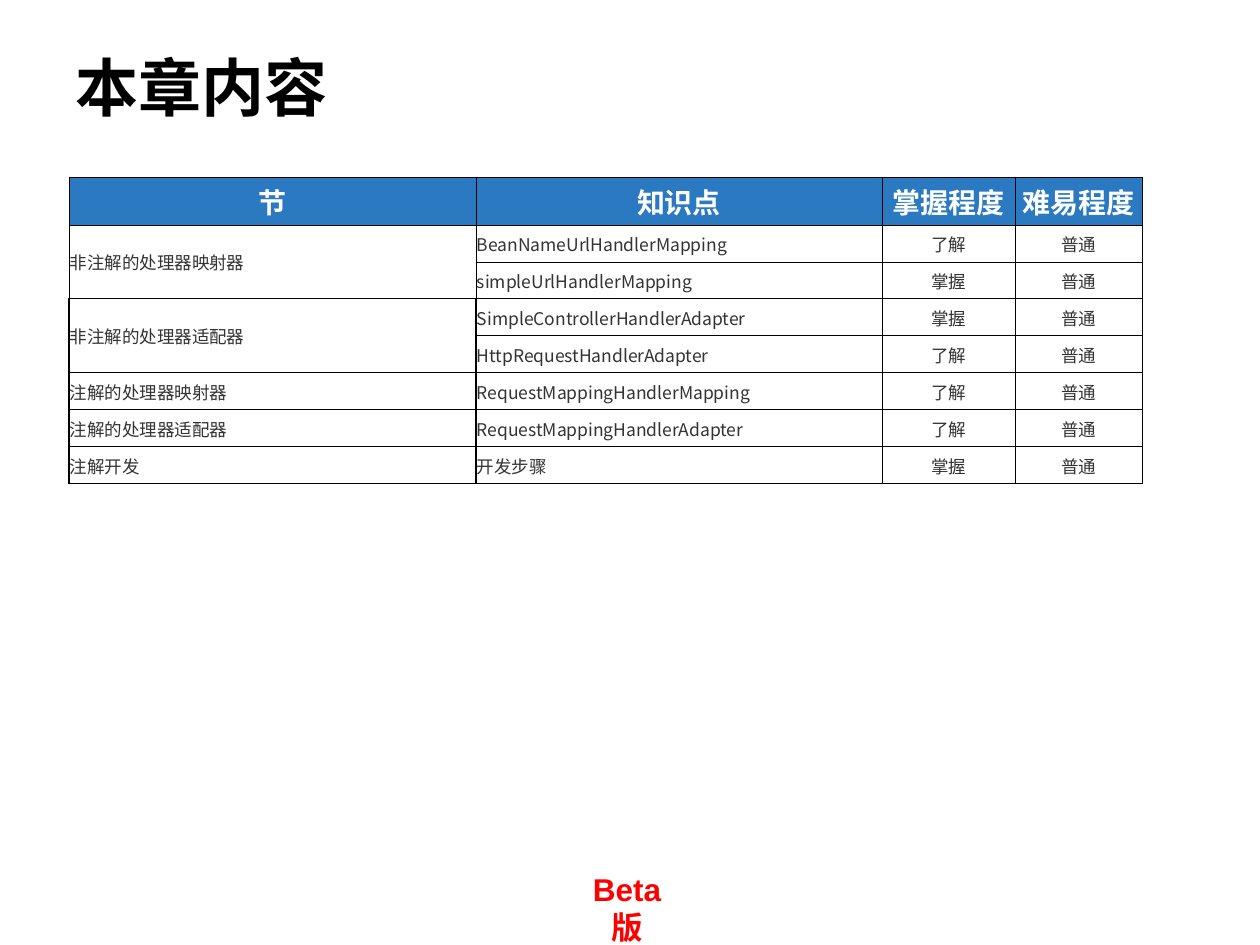
from pptx import Presentation
from pptx.dml.color import RGBColor as RGB
from pptx.enum.text import MSO_ANCHOR as ANCHOR, PP_ALIGN as ALIGN
from pptx.oxml.ns import qn
from pptx.util import Pt
from lxml.etree import SubElement

PX = 914400 // 126
SANS, SERIF, LATIN = "Noto Sans CJK SC", "Times New Roman", "Arial"
COLORS = {"black": "000000", "white": "FFFFFF", "header": "2A79C1",
          "body": "333333", "beta": "FF0000"}

HEADERS = ["节", "知识点", "掌握程度", "难易程度"]
SECTIONS = [
    ("非注解的处理器映射器", [("BeanNameUrlHandlerMapping", "了解"),
                    ("simpleUrlHandlerMapping", "掌握")]),
    ("非注解的处理器适配器", [("SimpleControllerHandlerAdapter", "掌握"),
                    ("HttpRequestHandlerAdapter", "了解")]),
    ("注解的处理器映射器", [("RequestMappingHandlerMapping", "了解")]),
    ("注解的处理器适配器", [("RequestMappingHandlerAdapter", "了解")]),
    ("注解开发", [("开发步骤", "掌握")]),
]
DIFFICULTY = "普通"
COL_WIDTHS = [407, 406, 133, 127]
HEADER_HEIGHT, ROW_HEIGHT = 48, 37
THIN, THICK = 0.5, 1


def px(n):
    return n * PX


def write(tf, text, size, color, font=SANS, bold=False, align=ALIGN.LEFT):
    p = tf.paragraphs[0]
    p.alignment = align
    r = p.add_run()
    r.text = text
    r.font.size = Pt(size)
    r.font.bold = bold
    r.font.name = font
    r.font.color.rgb = RGB.from_string(COLORS[color])
    SubElement(r.font._element, qn("a:ea"), typeface=SANS)


def add_text(slide, box, text, insets, anchor=ANCHOR.TOP, **fmt):
    """Insets are left, top, right, bottom in px."""
    tf = slide.shapes.add_textbox(*map(px, box)).text_frame
    tf.word_wrap = True
    tf.vertical_anchor = anchor
    tf.margin_left, tf.margin_top, tf.margin_right, tf.margin_bottom = map(px, insets)
    write(tf, text, **fmt)


def set_borders(cell, **widths):
    """Black borders; sides L, R, T, B are thin unless a width is given."""
    tc_pr = cell._tc.get_or_add_tcPr()
    for side in "LRTB":
        ln = SubElement(tc_pr, qn("a:ln" + side), w=str(Pt(widths.get(side, THIN))))
        fill = SubElement(ln, qn("a:solidFill"))
        SubElement(fill, qn("a:srgbClr"), val=COLORS["black"])


def style_cell(cell, fill, **borders):
    set_borders(cell, **borders)
    cell.fill.solid()
    cell.fill.fore_color.rgb = RGB.from_string(COLORS[fill])
    cell.vertical_anchor = ANCHOR.MIDDLE
    cell.margin_left = cell.margin_right = cell.margin_top = px(1)
    cell.margin_bottom = 0


def section_borders(row, col, last_row):
    """The section column has a thick frame from the second section on."""
    if row <= len(SECTIONS[0][1]) or col > 1:
        return {}
    if col == 1:
        return {"L": THICK}
    bottom = THICK if row == last_row else THIN
    return {"L": THICK, "R": THICK, "B": bottom}


def add_topics_table(slide, left, top):
    n_rows = 1 + sum(len(topics) for _, topics in SECTIONS)
    heights = [HEADER_HEIGHT] + [ROW_HEIGHT] * (n_rows - 1)
    table = slide.shapes.add_table(n_rows, len(HEADERS), px(left), px(top),
                                   px(sum(COL_WIDTHS)), px(sum(heights))).table
    for column, width in zip(table.columns, COL_WIDTHS):
        column.width = px(width)
    for row, height in zip(table.rows, heights):
        row.height = px(height)

    for i in range(n_rows):
        for j in range(len(HEADERS)):
            style_cell(table.cell(i, j), "white" if i else "header",
                       **section_borders(i, j, n_rows - 1))

    for j, header in enumerate(HEADERS):
        write(table.cell(0, j).text_frame, header, 16, "white", bold=True,
              align=ALIGN.CENTER)
    i = 1
    for section, topics in SECTIONS:
        if len(topics) > 1:
            table.cell(i, 0).merge(table.cell(i + len(topics) - 1, 0))
        write(table.cell(i, 0).text_frame, section, 10, "body")
        for topic, level in topics:
            write(table.cell(i, 1).text_frame, topic, 10, "body")
            for j, grade in enumerate((level, DIFFICULTY), start=2):
                write(table.cell(i, j).text_frame, grade, 10, "body", font=SERIF,
                      align=ALIGN.CENTER)
            i += 1


def main():
    prs = Presentation()
    prs.slide_width, prs.slide_height = px(1260), px(945)
    slide = prs.slides.add_slide(prs.slide_layouts[6])
    add_text(slide, (581, 864, 126, 50), "Beta版", (10, 6, 44, 6), size=18,
             color="beta", font=LATIN, bold=True, align=ALIGN.CENTER)
    add_text(slide, (63, 38, 1004, 97), "本章内容", (13, 6, 13, 6), ANCHOR.MIDDLE,
             size=36, color="black", bold=True)
    add_topics_table(slide, 69, 177)
    prs.save("out.pptx")


if __name__ == "__main__":
    main()
